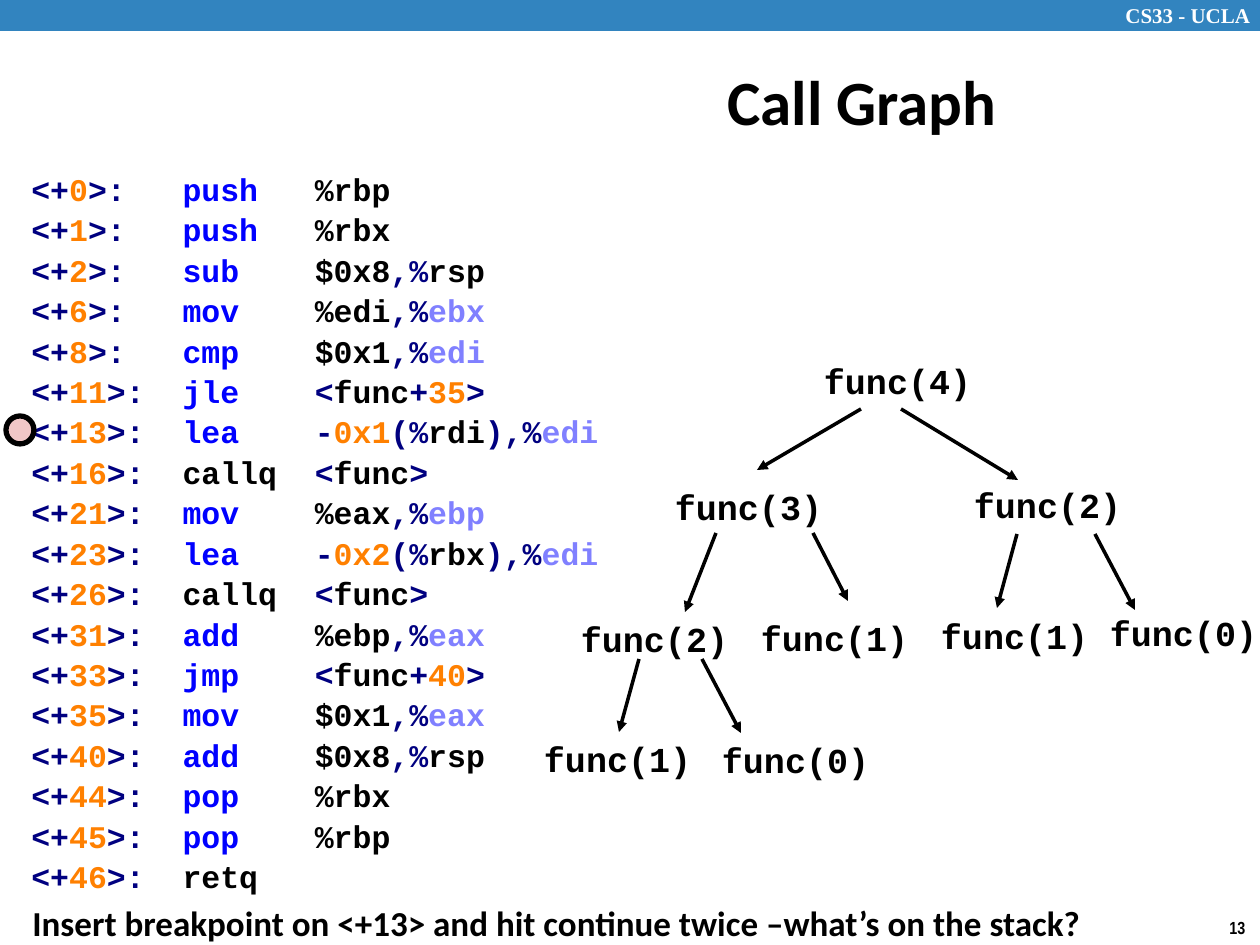
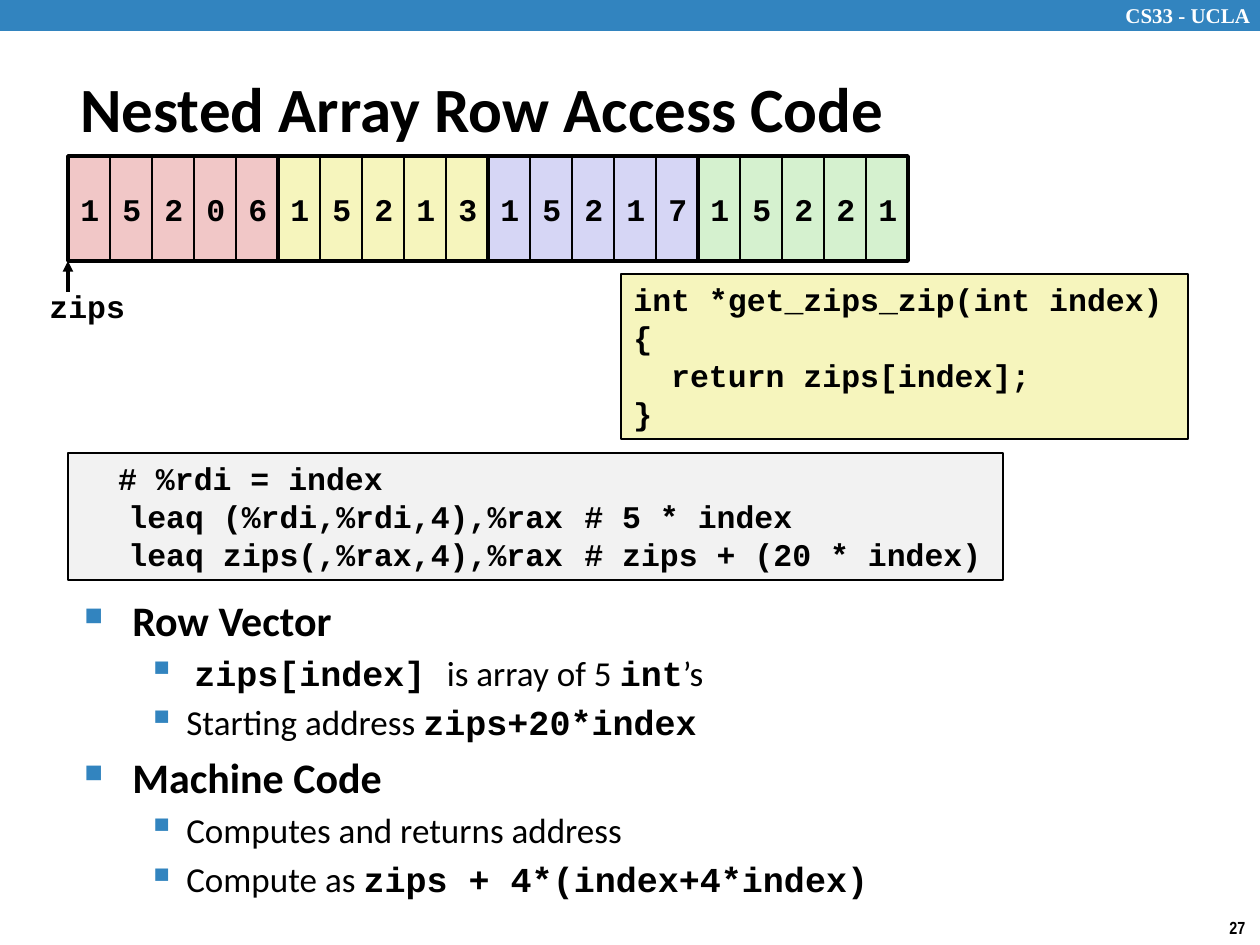
from dataclasses import dataclass
from itertools import groupby

from lxml.etree import SubElement
from pptx import Presentation
from pptx.dml.color import RGBColor
from pptx.enum.shapes import MSO_CONNECTOR as Connector, MSO_SHAPE as Shape
from pptx.enum.text import MSO_ANCHOR as Anchor, PP_ALIGN as Align
from pptx.oxml.ns import qn
from pptx.util import Pt

PX_PER_INCH = 126


def px(length):
    return round(length * 914400 / PX_PER_INCH)


@dataclass(frozen=True)
class Style:
    font: str
    size: int
    color: str = "000000"
    bold: bool = True


class Theme:
    black, white, blue = "000000", "FFFFFF", "3284BF"
    pink, yellow, lilac, green = "F1C7C7", "F6F5BD", "D6D6F5", "D5F1CF"
    grey = "F2F2F2"
    # Syntax colours
    symbol, number, opcode, target = "000080", "FF8000", "0000FF", "8080FF"
    # Type styles
    course = Style("Times New Roman", 12, white)
    page = Style("Arial Narrow", 10)
    title = Style("Calibri", 36)
    heading = Style("Calibri", 24)
    note = Style("Calibri", 20)
    body = Style("Calibri", 20, bold=False)
    node = Style("Courier New", 20)
    code = Style("Courier New", 18)


class Deck:
    def __init__(self):
        self.presentation = Presentation()
        self.presentation.slide_width = px(1260)
        self.presentation.slide_height = px(945)
        self.slide = None

    def add_slide(self, title, title_box, number, align=Align.LEFT):
        layout = self.presentation.slide_layouts[6]
        self.slide = self.presentation.slides.add_slide(layout)
        self.shape(Shape.RECTANGLE, (0, 0, 1260, 31), Theme.blue)
        self.text((1113, -4, 156, 38), ["CS33 - UCLA"], Theme.course)
        self.text((1217, 911, 43, 34), [str(number)], Theme.page, wrap=False)
        self.text(title_box, [title], Theme.title, anchor=Anchor.MIDDLE, align=align)

    def shape(self, kind, box, fill=None, line=None):
        shape = self.slide.shapes.add_shape(kind, *map(px, box))
        shape.shadow.inherit = False
        if fill:
            shape.fill.solid()
            shape.fill.fore_color.rgb = RGBColor.from_string(fill)
        else:
            shape.fill.background()
        if line:
            shape.line.color.rgb = RGBColor.from_string(Theme.black)
            shape.line.width = Pt(line)
        else:
            shape.line.fill.background()
        return shape

    def text(self, box, lines, style, **options):
        shape = self.slide.shapes.add_textbox(*map(px, box))
        self.set_text(shape, lines, style, **options)

    def panel(self, box, fill, lines, **options):
        shape = self.shape(Shape.RECTANGLE, box, fill, 1)
        self.set_text(shape, lines, Theme.code, **options)

    def set_text(self, shape, lines, style, anchor=Anchor.TOP, align=Align.LEFT,
                 wrap=True, inset=None, spacing=None, tabs=()):
        frame = shape.text_frame
        frame.word_wrap = wrap
        frame.vertical_anchor = anchor
        if inset is not None:
            frame.margin_left = frame.margin_right = px(inset)
            frame.margin_top = frame.margin_bottom = px(inset)
        for index, line in enumerate(lines):
            paragraph = frame.add_paragraph() if index else frame.paragraphs[0]
            paragraph.alignment = align
            if spacing:
                paragraph.line_spacing = spacing
            if tabs:
                self.set_tabs(paragraph, tabs)
            self.fill_paragraph(paragraph, line, style)

    def fill_paragraph(self, paragraph, line, style):
        """A line is a string, or a list of (text, style) runs."""
        if isinstance(line, str):
            paragraph.add_run().text = line
            self.set_font(paragraph.font, style)
            return
        for text, run_style in line:
            run = paragraph.add_run()
            run.text = text
            self.set_font(run.font, run_style)

    @staticmethod
    def set_font(font, style):
        font.name, font.size, font.bold = style.font, Pt(style.size), style.bold
        font.color.rgb = RGBColor.from_string(style.color)

    @staticmethod
    def set_tabs(paragraph, tabs):
        stops = SubElement(paragraph._p.get_or_add_pPr(), qn("a:tabLst"))
        for position in tabs:
            SubElement(stops, qn("a:tab"), pos=str(px(position)), algn="l")

    def bullets(self, box, items):
        """Items are (level, line) pairs."""
        frame = self.slide.shapes.add_textbox(*map(px, box)).text_frame
        frame.word_wrap = True
        levels = [(48, 48, "■", 60, Theme.heading, 5), (102, 39, "▪", 110, Theme.body, 4)]
        for index, (level, line) in enumerate(items):
            margin, hang, mark, percent, style, gap = levels[level]
            paragraph = frame.add_paragraph() if index else frame.paragraphs[0]
            paragraph.level = level
            if index:
                paragraph.space_before = Pt(gap)
            properties = paragraph._p.get_or_add_pPr()
            properties.set("marL", str(px(margin)))
            properties.set("indent", str(px(-hang)))
            color = SubElement(properties, qn("a:buClr"))
            SubElement(color, qn("a:srgbClr"), val=Theme.blue)
            SubElement(properties, qn("a:buSzPct"), val=str(percent * 1000))
            SubElement(properties, qn("a:buChar"), char=mark)
            self.fill_paragraph(paragraph, line, style)

    def arrow(self, start, end):
        connector = self.slide.shapes.add_connector(
            Connector.STRAIGHT, *map(px, start + end))
        connector.line.color.rgb = RGBColor.from_string(Theme.black)
        connector.line.width = Pt(2)
        SubElement(connector.line._get_or_add_ln(), qn("a:tailEnd"), type="triangle")
        SubElement(connector._element.spPr, qn("a:effectLst"))


def code_style(color):
    return Style(Theme.code.font, Theme.code.size, color)


def highlight(code):
    """Split an address or operand into coloured runs."""
    runs, previous = [], ""
    for is_word, characters in groupby(code, str.isalnum):
        token = "".join(characters)
        color = Theme.black
        if not is_word:
            if runs or token not in "$%":
                color = Theme.symbol
        elif token[0].isdigit() and previous != "$":
            color = Theme.number
        elif token[0] == "e" and previous.endswith(",%"):
            color = Theme.target
        runs.append((token, code_style(color)))
        previous = token
    return runs


def assembly_line(offset, opcode, operand=""):
    color = Theme.black if opcode in ("callq", "retq") else Theme.opcode
    padded = f"{opcode:<7}" if operand else opcode
    address = highlight(f"{f'<+{offset}>:':<8}")
    return [(" ", Theme.code), *address, (padded, code_style(color)), *highlight(operand)]


def call_graph(deck):
    deck.add_slide("Call Graph", (619, 48, 486, 105), 13, Align.CENTER)

    # Call tree
    calls = [(4, 819, 354), (3, 670, 480), (2, 969, 478),
             (2, 576, 612), (1, 756, 611), (1, 936, 609), (0, 1105, 606),
             (1, 539, 732), (0, 717, 733)]
    for argument, left, top in calls:
        deck.text((left, top, 178, 57), [f"func({argument})"], Theme.node, inset=5)
    arrows = [((861, 409), (757, 470)), ((901, 409), (1018, 480)),
              ((716, 533), (685, 612)), ((813, 533), (848, 601)),
              ((1017, 534), (997, 608)), ((1095, 534), (1135, 610)),
              ((639, 659), (619, 732)), ((702, 659), (741, 733))]
    for start, end in arrows:
        deck.arrow(start, end)

    # Disassembly with its breakpoint
    instructions = [
        (0, "push", "%rbp"), (1, "push", "%rbx"), (2, "sub", "$0x8,%rsp"),
        (6, "mov", "%edi,%ebx"), (8, "cmp", "$0x1,%edi"), (11, "jle", "<func+35>"),
        (13, "lea", "-0x1(%rdi),%edi"), (16, "callq", "<func>"),
        (21, "mov", "%eax,%ebp"), (23, "lea", "-0x2(%rbx),%edi"),
        (26, "callq", "<func>"), (31, "add", "%ebp,%eax"), (33, "jmp", "<func+40>"),
        (35, "mov", "$0x1,%eax"), (40, "add", "$0x8,%rsp"),
        (44, "pop", "%rbx"), (45, "pop", "%rbp"), (46, "retq"),
    ]
    deck.text((0, 161, 660, 743), [assembly_line(*parts) for parts in instructions],
              Theme.code, spacing=1.07)
    deck.shape(Shape.OVAL, (6, 416, 28, 28), Theme.pink, 3)
    deck.text((20, 895, 1082, 55),
              ["Insert breakpoint on <+13> and hit continue twice –what’s on the stack?"],
              Theme.note, wrap=False)


def row_access(deck):
    deck.add_slide("Nested Array Row Access Code", (68, 68, 1053, 79), 27)

    # Explanation
    body, code = Theme.body, Theme.node
    deck.bullets((72, 588, 1021, 336), [
        (0, "Row Vector"),
        (1, [(" ", body), ("zips[index] ", code), ("is array of 5 ", body),
             ("int", code), ("’s", body)]),
        (1, [("Starting address ", body), ("zips+20*index", code)]),
        (0, "Machine Code"),
        (1, "Computes and returns address"),
        (1, [("Compute as ", body), ("zips + 4*(index+4*index)", code)]),
    ])

    # Source and machine code
    deck.panel((621, 274, 567, 165), Theme.yellow, [
        "int *get_zips_zip(int index)", "{", "  return zips[index];", "}"])
    deck.panel((68, 453, 935, 127), Theme.grey, [
        "  # %rdi = index",
        "\tleaq (%rdi,%rdi,4),%rax\t# 5 * index",
        "\tleaq zips(,%rax,4),%rax\t# zips + (20 * index)"], tabs=(48, 363))

    # Array in memory
    left, top, cell, height = 68, 156, 42, 105
    deck.arrow((left, 292), (left, top + height))
    deck.text((37, 281, 102, 50), ["zips"], Theme.code, wrap=False)
    rows = [("15206", Theme.pink), ("15213", Theme.yellow),
            ("15217", Theme.lilac), ("15221", Theme.green)]
    row_width = 5 * cell
    for row, (digits, fill) in enumerate(rows):
        for column, digit in enumerate(digits):
            box = (left + row * row_width + column * cell, top, cell, height)
            deck.panel(box, fill, [digit], anchor=Anchor.MIDDLE, wrap=False)
    for row in range(len(rows)):
        deck.shape(Shape.RECTANGLE, (left + row * row_width, top, row_width, height),
                   line=2.25)


def main():
    deck = Deck()
    call_graph(deck)
    row_access(deck)
    deck.presentation.save("out.pptx")


if __name__ == "__main__":
    main()
